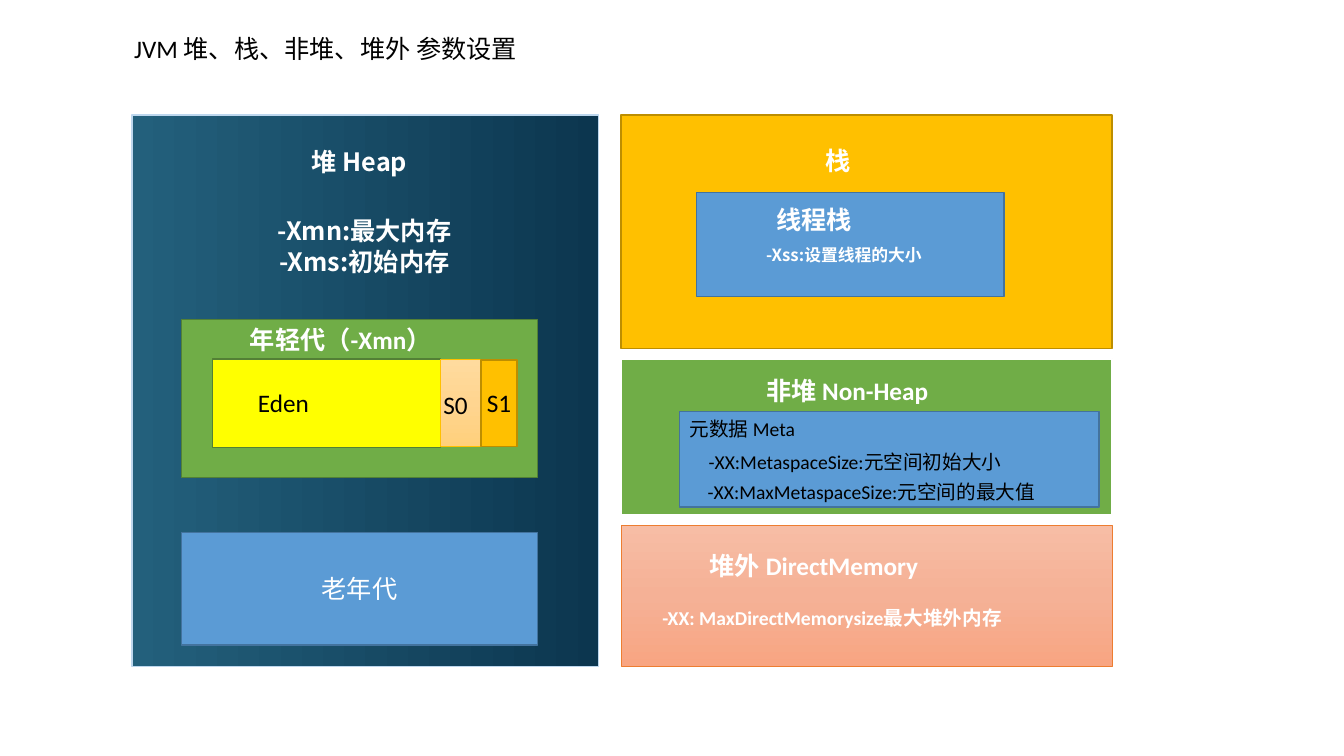
from copy import deepcopy

from lxml import etree
from pptx import Presentation
from pptx.dml.color import RGBColor
from pptx.enum.shapes import MSO_SHAPE
from pptx.enum.text import MSO_ANCHOR, MSO_AUTO_SIZE, PP_ALIGN
from pptx.oxml.ns import qn
from pptx.util import Emu, Inches, Pt

RECT = MSO_SHAPE.RECTANGLE
LEFT, CENTER = PP_ALIGN.LEFT, PP_ALIGN.CENTER
TOP, MIDDLE = MSO_ANCHOR.TOP, MSO_ANCHOR.MIDDLE
FIT, FIXED = MSO_AUTO_SIZE.SHAPE_TO_FIT_TEXT, MSO_AUTO_SIZE.NONE
CELL = Inches(0.1)
LATIN, CJK = "Calibri", "Noto Sans CJK SC"
WHITE, BLACK = "FFFFFF", "000000"
BLUE, BLUE_EDGE = "5B9BD5", "43739E"
GREEN, GREEN_EDGE = "70AD47", "538035"
AMBER, AMBER_EDGE = "FFC000", "BD8E00"
ORANGE = "ED7D31"


def rgb(value):
    """Turn a hex string into a colour."""
    return RGBColor.from_string(value)


def inside(box, x, y, w, h):
    """Return a box of grid cells measured from the corner of another box."""
    return box[0] + x, box[1] + y, w, h


def emu(box):
    """Convert a box of grid cells to slide lengths."""
    return [Emu(round(n * CELL)) for n in box]


def paint_gradient(sp, colors, angle):
    """Fill a shape with evenly spaced gradient stops."""
    fill = sp.fill
    fill.gradient()
    fill.gradient_angle = angle
    stops = sp._element.spPr.find(".//" + qn("a:gsLst"))
    for _ in colors[2:]:
        stops.insert(1, deepcopy(stops[0]))
    for i, (stop, color) in enumerate(zip(fill.gradient_stops, colors)):
        stop.position = i / (len(colors) - 1)
        stop.color.rgb = rgb(color)


def panel(s, box, fill, edge, width=1, angle=270):
    """Draw a rectangle with a solid colour or a list of gradient colours."""
    sp = s.shapes.add_shape(RECT, *emu(box))
    sp.shadow.inherit = False
    if isinstance(fill, str):
        sp.fill.solid()
        sp.fill.fore_color.rgb = rgb(fill)
    else:
        paint_gradient(sp, fill, angle)
    sp.line.color.rgb = rgb(edge)
    sp.line.width = Pt(width)
    return sp


def write(sp, text, size=18, color=WHITE, bold=False, font=LATIN,
          align=LEFT, anchor=TOP, fit=FIXED):
    """Set formatted text in a shape, one paragraph per line."""
    tf = sp.text_frame
    frame = {"word_wrap": True, "auto_size": fit, "vertical_anchor": anchor}
    for name, value in frame.items():
        setattr(tf, name, value)
    style = {"size": Pt(size), "bold": bold, "name": font}
    for i, line in enumerate(text.split("\n")):
        p = tf.add_paragraph() if i else tf.paragraphs[0]
        p.alignment = align
        r = p.add_run()
        r.text = line
        for name, value in style.items():
            setattr(r.font, name, value)
        r.font.color.rgb = rgb(color)
        ea = etree.SubElement(r.font._element, qn("a:ea"))
        ea.set("typeface", CJK)


def label(s, box, text, **style):
    """Add a text box that grows with its text."""
    write(s.shapes.add_textbox(*emu(box)), text, fit=FIT, **style)


def add_title(s, box):
    """Place the slide title."""
    title = s.shapes.title
    title.left, title.top, title.width, title.height = emu(box)
    write(title, "JVM 堆、栈、非堆、堆外 参数设置", color=BLACK)


def add_young(s, box):
    """Draw the young generation with Eden and the survivor spaces."""
    panel(s, box, GREEN, GREEN_EDGE)
    panel(s, inside(box, 3.1, 4.1, 30.1, 8.5), ORANGE, "AF5C24")
    panel(s, inside(box, 3.1, 3.9, 22.6, 8.8), "FFFF00", GREEN_EDGE)
    panel(s, inside(box, 25.7, 4, 4, 8.6), ["FFDB9E", "FFD590", "FFD07C"], AMBER, 0.5)
    panel(s, inside(box, 29.7, 4, 3.6, 8.6), AMBER, AMBER_EDGE)
    label(s, inside(box, 5.8, 0, 23.8, 4), "年轻代（-Xmn）", bold=True)
    spaces = [("Eden", 6.6, 6.2, 10), ("S0", 25, 6.4, 5.4), ("S1", 29.3, 6.2, 5.4)]
    for text, x, y, w in spaces:
        label(s, inside(box, x, y, w, 4), text, color=BLACK)


def add_heap(s, box):
    """Draw the heap with its two generations."""
    panel(s, box, ["23607C", "0C364F"], "BDD7EE", angle=0)
    head = {"bold": True, "font": CJK, "align": CENTER}
    label(s, inside(box, 10.6, 2.6, 23.9, 4), "堆 Heap", **head)
    label(s, inside(box, 11.1, 9.5, 23.9, 7.1), "-Xmn:最大内存\n-Xms:初始内存", **head)
    add_young(s, inside(box, 4.9, 20.3, 35.3, 15.7))
    old = panel(s, inside(box, 4.9, 41.4, 35.3, 11.2), BLUE, BLUE_EDGE)
    write(old, "老年代", align=CENTER, anchor=MIDDLE)


def add_stack(s, box):
    """Draw the stack with the thread stack."""
    panel(s, box, AMBER, AMBER_EDGE)
    label(s, inside(box, 9.6, 2.5, 23.9, 4), "栈", bold=True, font=CJK, align=CENTER)
    panel(s, inside(box, 7.5, 7.7, 30.5, 10.3), BLUE, BLUE_EDGE)
    label(s, inside(box, 14.4, 8.4, 14.2, 4), "线程栈", bold=True)
    label(s, inside(box, 13.4, 12.4, 19.4, 3), "-Xss:设置线程的大小",
          size=12, bold=True, font=CJK)


def add_non_heap(s, box):
    """Draw the non-heap area with the metadata options."""
    panel(s, box, GREEN, WHITE, 1.5)
    label(s, inside(box, 13.4, 1.1, 21.3, 4), "非堆 Non-Heap", bold=True)
    panel(s, inside(box, 5.8, 5.2, 41.6, 9.5), BLUE, BLUE_EDGE)
    options = [("元数据 Meta", 5.8, 5.3, 24.1),
               ("-XX:MetaspaceSize:元空间初始大小", 7.7, 8.5, 32.8),
               ("-XX:MaxMetaspaceSize:元空间的最大值", 7.6, 11.5, 35.5)]
    for text, x, y, w in options:
        label(s, inside(box, x, y, w, 3.4), text, size=14, color=BLACK)


def add_direct(s, box):
    """Draw the off-heap direct memory area."""
    panel(s, box, ["F7BDA5", "F5B196", "F8A582"], ORANGE, 0.5)
    label(s, inside(box, 3.1, 7.5, 41.1, 3.4),
          "-XX: MaxDirectMemorysize最大堆外内存", size=14, bold=True)
    label(s, inside(box, 7.8, 2, 36.4, 4), "堆外 DirectMemory", bold=True)


def main():
    """Build the slide and save it."""
    prs = Presentation()
    prs.slide_width, prs.slide_height = Inches(13.33), Inches(7.5)
    s = prs.slides.add_slide(prs.slide_layouts[5])
    add_title(s, (12.3, 2.8, 76, 4))
    add_heap(s, (13.1, 11.4, 46.3, 54.7))
    add_stack(s, (61.6, 11.4, 48.7, 23.2))
    add_non_heap(s, (61.6, 35.6, 48.7, 15.5))
    add_direct(s, (61.6, 52.1, 48.7, 14))
    prs.save("out.pptx")


if __name__ == "__main__":
    main()
